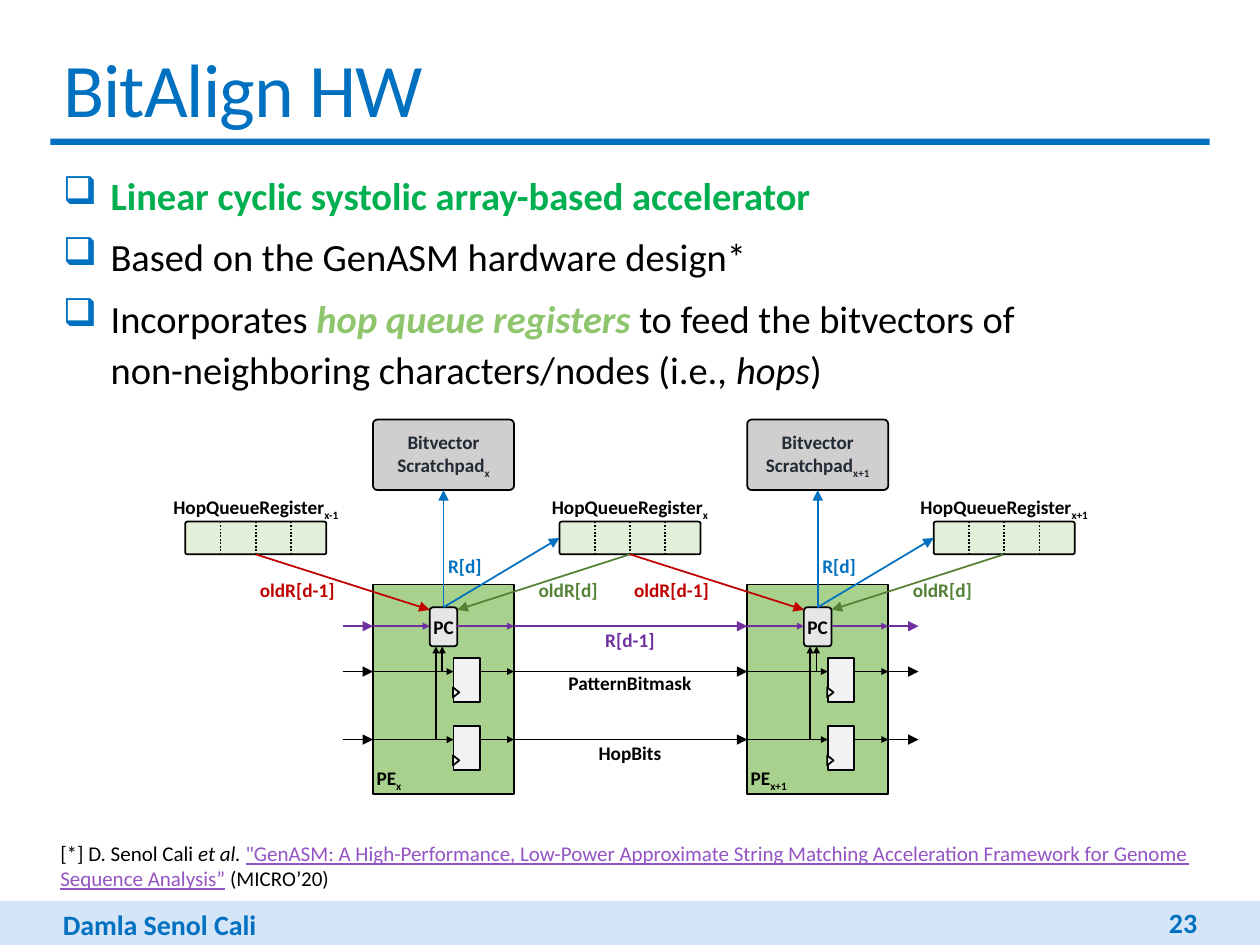
from dataclasses import dataclass
from lxml.etree import SubElement
from pptx import Presentation
from pptx.dml.color import RGBColor
from pptx.enum.dml import MSO_LINE
from pptx.enum.shapes import MSO_CONNECTOR, MSO_SHAPE as SHAPE
from pptx.enum.text import MSO_ANCHOR as ANCHOR, PP_ALIGN as ALIGN
from pptx.oxml.ns import qn
from pptx.util import Inches, Pt


@dataclass(frozen=True)
class Theme:
    font: str = "Calibri"
    blue: str = "0070C0"
    band: str = "D4E5F7"
    black: str = "000000"
    key: str = "00B050"
    hop: str = "8FC56D"
    link: str = "9454C3"
    purple: str = "7030A0"
    red: str = "C00000"
    green: str = "548135"
    memory: str = "D0CECE"
    memory_text: str = "222A35"
    element: str = "A9D18E"
    core: str = "E7E6E6"
    register: str = "F2F2F2"
    queue: str = "E2F0D9"
    title: float = 43.2
    body: float = 22
    footer: float = 16
    note: float = 12
    label: float = 11


T = Theme()
W, H = 10, 7.5

# Content: a run is (text, style)
TITLE, AUTHOR, NUMBER = "BitAlign HW", "Damla Senol Cali", "23"
BULLETS = [
    [("Linear cyclic systolic array-based accelerator", dict(color=T.key, bold=True))],
    [("Based on the GenASM hardware design*", {})],
    [("Incorporates ", {}),
     ("hop queue registers ", dict(color=T.hop, bold=True, italic=True)),
     ("to feed the bitvectors of\nnon-neighboring characters/nodes (i.e., ", {}),
     ("hops", dict(italic=True)), (")", {})],
]
CITATION = [
    ("[*] D. Senol Cali ", {}), ("et al. ", dict(italic=True)),
    ('"GenASM: A High-Performance, Low-Power Approximate String Matching Acceleration '
     "Framework for Genome Sequence Analysis”", dict(color=T.link, underline=True)),
    (" (MICRO’20)", {}),
]
STAGES = ["x", "x+1"]
QUEUES = ["x-1", "x", "x+1"]
# Signals between stages: row, colour, label, label's top
SIGNALS = [(4.97, T.purple, "R[d-1]", 4.94), (5.33, T.black, "PatternBitmask", 5.28),
           (5.87, T.black, "HopBits", 5.83)]

# Grid of the diagram
PITCH, BLOCK_W = 2.97, 1.12
STAGE_X, QUEUE_X = 2.96, 1.47
STUB = 0.24
MEMORY_Y, MEMORY_H = 3.33, 0.56
QUEUE_Y, QUEUE_H = 4.14, 0.26
STAGE_Y, STAGE_H = 4.64, 1.66
CORE_X, CORE_Y, CORE_W, CORE_H = 0.45, 4.82, 0.22, 0.31
REG_X, REG_W, REG_H = 0.64, 0.21, 0.35
LABEL_H = 0.29

deck = Presentation()
deck.slide_width, deck.slide_height = Inches(W), Inches(H)
slide = deck.slides.add_slide(deck.slide_layouts[5])


def inches(*lengths):
    return [Inches(length) for length in lengths]


def style(font, color=None, size=None, bold=None, italic=None, underline=None):
    if color:
        font.color.rgb = RGBColor.from_string(color)
    if size:
        font.size, font.name = Pt(size), T.font
    font.bold, font.italic, font.underline = bold, italic, underline


def write(paragraph, runs, size=T.label, color=T.black, bold=None, align=ALIGN.LEFT):
    paragraph.alignment = align
    style(paragraph.font, color, size, bold)
    for text, changes in runs:
        for i, line in enumerate(text.split("\n")):
            if i:
                paragraph.add_line_break()
            run = paragraph.add_run()
            run.text = line
            changes = dict(changes)
            base = changes.pop("base", None)
            style(run.font, **changes)
            if base:
                run._r.get_or_add_rPr().set("baseline", str(base))


def indexed(name, index):
    return [(name, {}), (index, dict(base=-25000))]


def text(box, runs, wrap=True, anchor=ANCHOR.TOP, **look):
    frame = slide.shapes.add_textbox(*inches(*box)).text_frame
    frame.word_wrap, frame.vertical_anchor = wrap, anchor
    write(frame.paragraphs[0], runs, **look)
    return frame


def label(center, top, runs, color=T.black, width=1.3):
    text((center - width / 2, top, width, LABEL_H), runs, wrap=False,
         color=color, bold=True, align=ALIGN.CENTER)


def block(kind, box, fill, outline=True, corner=None, inset=0, runs=None, **look):
    shape = slide.shapes.add_shape(kind, *inches(*box))
    shape.shadow.inherit = False
    shape.fill.solid()
    shape.fill.fore_color.rgb = RGBColor.from_string(fill)
    if outline:
        shape.line.color.rgb = RGBColor.from_string(T.black)
        shape.line.width = Pt(1)
    else:
        shape.line.fill.background()
    if corner:
        shape.adjustments[0] = corner
    if runs:
        frame = shape.text_frame
        frame.word_wrap, frame.vertical_anchor = True, ANCHOR.MIDDLE
        frame.margin_left, frame.margin_right = 0, 0
        frame.margin_top = frame.margin_bottom = Inches(inset)
        write(frame.paragraphs[0], runs, bold=True, align=ALIGN.CENTER, **look)
    return shape


def wire(x1, y1, x2, y2, color=T.black, head="med", dotted=False):
    line = slide.shapes.add_connector(MSO_CONNECTOR.STRAIGHT, *inches(x1, y1, x2, y2))
    line.line.color.rgb = RGBColor.from_string(color)
    line.line.width = Pt(1)
    if dotted:
        line.line.dash_style = MSO_LINE.ROUND_DOT
    else:
        SubElement(line.line._get_or_add_ln(), qn("a:tailEnd"), type="triangle", w=head, len=head)
    SubElement(line._element.spPr, qn("a:effectLst"))


# Frame of the slide: footer band, rule, title, author, number
block(SHAPE.RECTANGLE, (0, 7.15, W, 0.41), T.band, outline=False)
block(SHAPE.RECTANGLE, (0.4, 1.1, 9.2, 0.05), T.blue, outline=False)
title = slide.shapes.title
title.left, title.top, title.width, title.height = inches(0.4, 0.28, 9.2, 0.82)
title.text_frame.vertical_anchor = ANCHOR.MIDDLE
write(title.text_frame.paragraphs[0], [(TITLE, {})], T.title, T.blue)
title.text_frame.paragraphs[0].runs[0]._r.get_or_add_rPr().set("spc", "-50")
text((0.4, 7.15, 2.5, 0.37), [(AUTHOR, {})], size=T.footer, color=T.blue, bold=True)
text((8.22, 7.17, 1.38, 0.3), [(NUMBER, {})], anchor=ANCHOR.MIDDLE,
     size=T.footer, color=T.blue, bold=True, align=ALIGN.RIGHT)

# Bullets
frame = slide.shapes.add_textbox(*inches(0.4, 1.28, 9.2, 1.88)).text_frame
frame.word_wrap = True
for i, runs in enumerate(BULLETS):
    paragraph = frame.add_paragraph() if i else frame.paragraphs[0]
    paragraph.line_spacing, paragraph.space_after = 1.1, Pt(6)
    props = paragraph._p.get_or_add_pPr()
    props.set("marL", str(Inches(0.38)))
    props.set("indent", str(Inches(-0.38)))
    SubElement(SubElement(props, qn("a:buClr")), qn("a:srgbClr"), val=T.blue)
    SubElement(props, qn("a:buChar"), char="❑")
    write(paragraph, runs, T.body)

# Stages: scratchpad, processing element, core and registers
for i, index in enumerate(STAGES):
    left = STAGE_X + i * PITCH
    right, core = left + BLOCK_W, left + CORE_X
    middle, reg = left + BLOCK_W / 2, left + REG_X
    block(SHAPE.ROUNDED_RECTANGLE, (left, MEMORY_Y, BLOCK_W, MEMORY_H), T.memory, corner=0.064,
          inset=0.04, runs=indexed("Bitvector Scratchpad", index), size=10.9, color=T.memory_text)
    block(SHAPE.RECTANGLE, (left, STAGE_Y, BLOCK_W, STAGE_H), T.element)
    block(SHAPE.ROUNDED_RECTANGLE, (core, CORE_Y, CORE_W, CORE_H), T.core, corner=0.12,
          runs=[("PC", {})])
    text((left - 0.07, 6.03, 0.6, LABEL_H), indexed("PE", index), wrap=False, bold=True)

    row = SIGNALS[0][0]
    wire(left, row, core, row, T.purple, "sm")
    wire(core + CORE_W, row, right, row, T.purple, "sm")
    for (row, *_), tap in zip(SIGNALS[1:], (0.55, 0.5)):
        block(SHAPE.RECTANGLE, (reg, row - 0.11, REG_W, REG_H), T.register)
        clock = block(SHAPE.ISOSCELES_TRIANGLE, (reg - 0.02, row + 0.14, 0.08, 0.05), T.register)
        clock.rotation = 90
        wire(left, row, reg, row, head="sm")
        wire(reg + REG_W, row, right, row, head="sm")
        wire(left + tap, row, left + tap, CORE_Y + CORE_H, head="sm")
    wire(middle, CORE_Y, middle, MEMORY_Y + MEMORY_H, T.blue)

# Signals into, between and out of the stages
first, last = STAGE_X, STAGE_X + PITCH
for row, color, name, top in SIGNALS:
    wire(first - STUB, row, first, row, color)
    wire(first + BLOCK_W, row, last, row, color)
    wire(last + BLOCK_W, row, last + BLOCK_W + STUB, row, color)
    label(W / 2, top, [(name, {})], color)

# Hop queue registers
for i, index in enumerate(QUEUES):
    left = QUEUE_X + i * PITCH
    block(SHAPE.ROUNDED_RECTANGLE, (left, QUEUE_Y, BLOCK_W, QUEUE_H), T.queue, corner=0.064)
    for quarter in (1, 2, 3):
        x = left + quarter * BLOCK_W / 4
        wire(x, QUEUE_Y, x, QUEUE_Y + QUEUE_H, dotted=True)
    label(left + BLOCK_W / 2, 3.88, indexed("HopQueueRegister", index), width=1.7)

# Each core with the queue before it and the queue after it
for i in range(len(STAGES)):
    left = STAGE_X + i * PITCH
    core, middle = left + CORE_X, left + BLOCK_W / 2
    before = QUEUE_X + i * PITCH + BLOCK_W / 2
    after, bottom = before + PITCH, QUEUE_Y + QUEUE_H
    wire(before, bottom, core, CORE_Y + 0.02, T.red)
    wire(after, bottom, core + CORE_W, CORE_Y + 0.02, T.green)
    wire(middle, CORE_Y, after - BLOCK_W / 2, QUEUE_Y + QUEUE_H / 2, T.blue)
    label(left - 0.6, 4.54, [("oldR[d-1]", {})], T.red, 0.87)
    label(left + 1.55, 4.54, [("oldR[d]", {})], T.green, 0.87)
    label(left + 0.73, 4.35, [("R[d]", {})], T.blue, 0.54)

# Citation
text((0.38, 6.62, 9.22, 0.5), CITATION, size=T.note)

deck.save("out.pptx")
